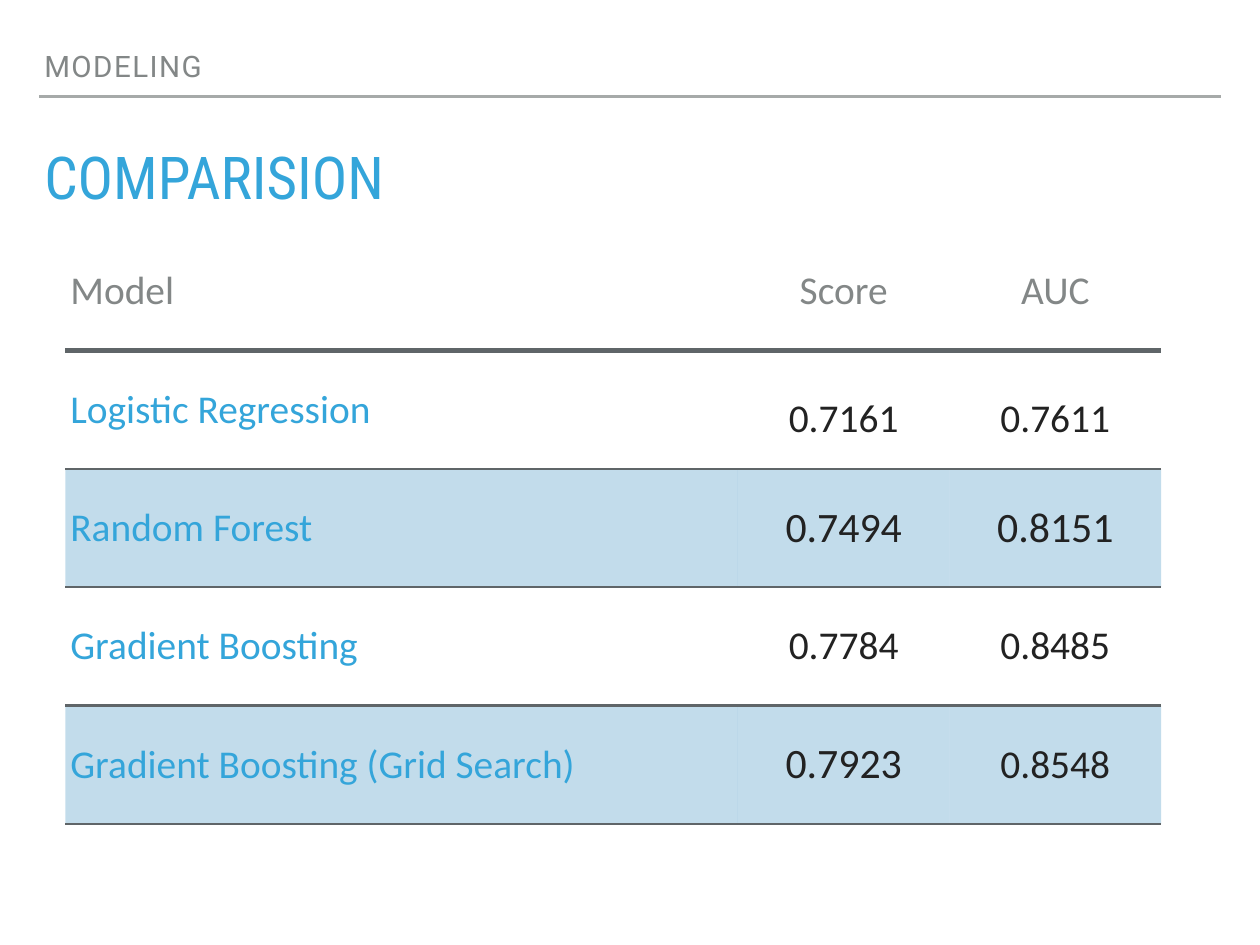
import pptx
import pptx.util
import pptx.dml.color
import pptx.enum.shapes
import pptx.enum.text
import pptx.oxml
import pptx.oxml.ns
from dataclasses import dataclass

Pt = pptx.util.Pt
ALIGN = pptx.enum.text.PP_ALIGN
ANCHOR = pptx.enum.text.MSO_ANCHOR

SECTION = "MODELING"
TITLE = "COMPARISION"
ROWS = [
    ("Model", "Score", "AUC"),
    ("Logistic Regression", "0.7161", "0.7611"),
    ("Random Forest", "0.7494", "0.8151"),
    ("Gradient Boosting", "0.7784", "0.8485"),
    ("Gradient Boosting (Grid Search)", "0.7923", "0.8548"),
]
LARGE_VALUES = {"0.7494", "0.8151", "0.7923"}
LOOSE_ROW = 1  # its values sit on a fixed line height


@dataclass(frozen=True)
class Theme:
    blue: str = "34A5DA"
    gray: str = "838787"
    ink: str = "222222"
    rule: str = "A6AAA9"
    border: str = "5F6568"
    band: str = "2E87BB"
    band_alpha: int = 29
    section_font: str = "Roboto"
    title_font: str = "Roboto Condensed"
    table_font: str = "Calibri"
    section_size: int = 24
    title_size: int = 48
    table_size: int = 32
    large_size: int = 34
    inset: float = 4


THEME = Theme()
SLIDE_SIZE = (1024, 768)
RULE = (32, 78.5, 992)  # left, top, right
SECTION_BOX = (32, 36, 880, 36)
TITLE_BOX = (32, 121, 960, 57)
TABLE_AT = (53.2, 188.6)
COLUMNS = (546.5, 172, 172)
ROW_HEIGHT = 96.2
NO_STYLE = "{2D5ABB26-0587-4C30-8999-92F81FD0307C}"


def rgb(color):
    return pptx.dml.color.RGBColor.from_string(color)


def xml(tag, content="", attributes=""):
    namespace = pptx.oxml.ns.nsdecls("a")
    return pptx.oxml.parse_xml(f"<a:{tag} {namespace} {attributes}>{content}</a:{tag}>")


def format_text(paragraph, font, size, color):
    run = paragraph.runs[0]
    run.font.name, run.font.size = font, Pt(size)
    run.font.color.rgb = rgb(color)
    return run


def set_margins(target):
    target.margin_left = target.margin_right = Pt(THEME.inset)
    target.margin_top = target.margin_bottom = Pt(THEME.inset)


def add_heading(slide, box, text, anchor, font, size, color):
    frame = slide.shapes.add_textbox(*map(Pt, box)).text_frame
    frame.word_wrap = True
    frame.vertical_anchor = anchor
    set_margins(frame)
    frame.text = text
    paragraph = frame.paragraphs[0]
    paragraph.line_spacing = 0.8
    return format_text(paragraph, font, size, color)


def add_rule(slide):
    left, top, right = map(Pt, RULE)
    straight = pptx.enum.shapes.MSO_CONNECTOR.STRAIGHT
    rule = slide.shapes.add_connector(straight, left, top, right, top)
    rule.line.color.rgb = rgb(THEME.rule)
    rule.line.width = Pt(2)
    rule.element.spPr.append(xml("effectLst"))


def style_cell(cell, row, column):
    set_margins(cell)
    cell.vertical_anchor = ANCHOR.MIDDLE
    paragraph = cell.text_frame.paragraphs[0]
    large = cell.text in LARGE_VALUES
    paragraph.space_before = Pt(28 if large else 24)
    if column:
        paragraph.alignment = ALIGN.CENTER
        if row == LOOSE_ROW:
            paragraph.line_spacing = Pt(54)
    color = THEME.gray if row == 0 else THEME.ink if column else THEME.blue
    size = THEME.large_size if large else THEME.table_size
    format_text(paragraph, THEME.table_font, size, color)

    properties = cell._tc.get_or_add_tcPr()
    if row and row % 2 == 0:
        cell.fill.solid()
        cell.fill.fore_color.rgb = rgb(THEME.band)
        band = properties.find(".//" + pptx.oxml.ns.qn("a:srgbClr"))
        band.append(xml("alpha", attributes=f'val="{THEME.band_alpha * 1000}"'))
    else:
        cell.fill.background()
    width = Pt(5 if row == 0 else 2)
    stroke = f'<a:solidFill><a:srgbClr val="{THEME.border}"/></a:solidFill>'
    properties.insert(0, xml("lnB", stroke, f'w="{width}"'))


def add_comparison(slide):
    size = (sum(COLUMNS), ROW_HEIGHT * len(ROWS))
    frame = slide.shapes.add_table(len(ROWS), len(COLUMNS), *map(Pt, TABLE_AT + size))
    table = frame.table
    table.first_row = table.horz_banding = False
    next(frame.element.iter(pptx.oxml.ns.qn("a:tableStyleId"))).text = NO_STYLE
    for column, width in zip(table.columns, COLUMNS):
        column.width = Pt(width)
    for row, values in enumerate(ROWS):
        table.rows[row].height = Pt(ROW_HEIGHT)
        for column, value in enumerate(values):
            cell = table.cell(row, column)
            cell.text = value
            style_cell(cell, row, column)


def main():
    presentation = pptx.Presentation()
    presentation.slide_width, presentation.slide_height = map(Pt, SLIDE_SIZE)
    slide = presentation.slides.add_slide(presentation.slide_layouts[6])
    add_rule(slide)
    section = add_heading(slide, SECTION_BOX, SECTION, ANCHOR.BOTTOM,
                          THEME.section_font, THEME.section_size, THEME.gray)
    section.font._element.set("spc", "120")
    add_heading(slide, TITLE_BOX, TITLE, ANCHOR.TOP,
                THEME.title_font, THEME.title_size, THEME.blue)
    add_comparison(slide)
    presentation.save("out.pptx")


if __name__ == "__main__":
    main()
